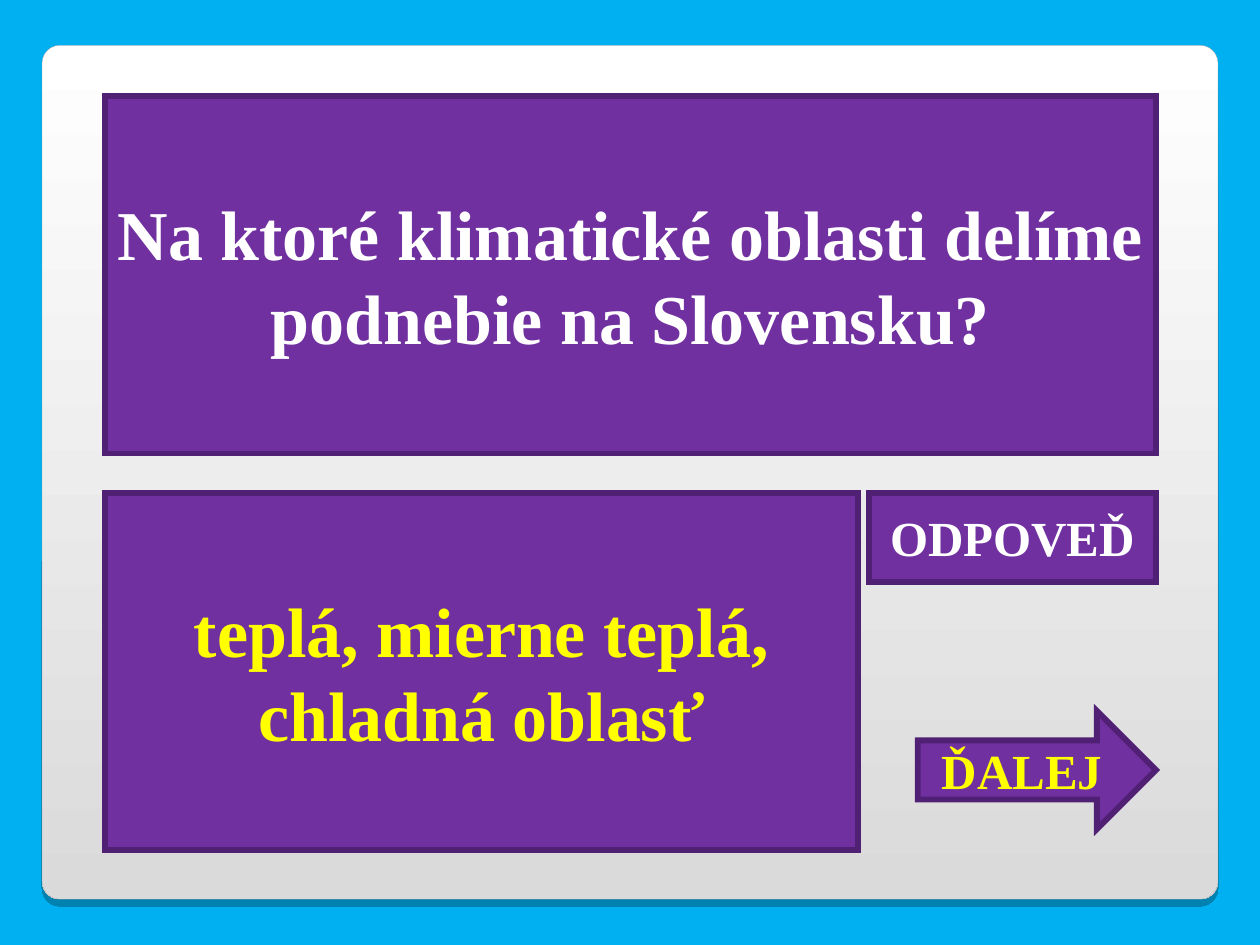
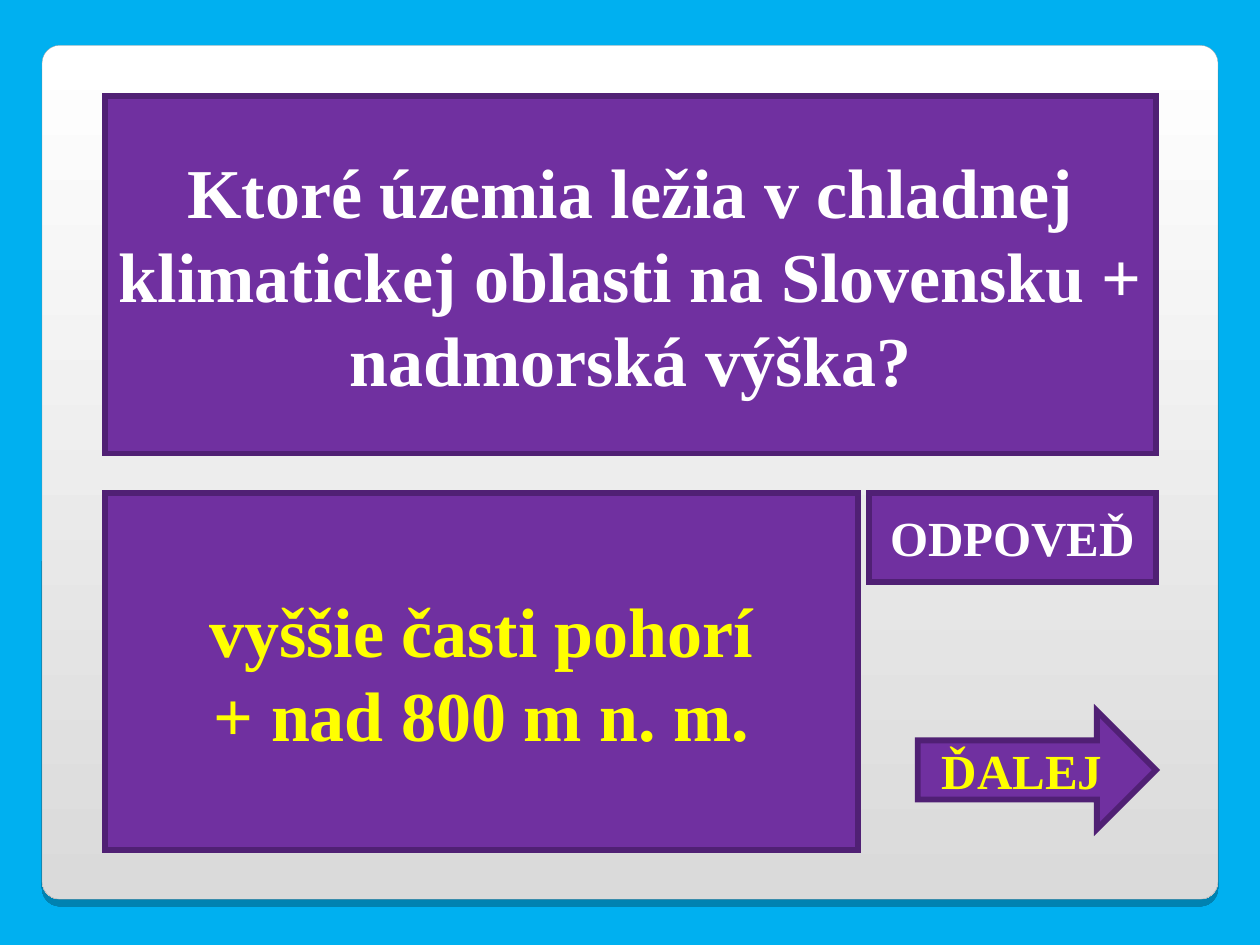
"""Build two quiz slides about the climate regions of Slovakia."""
from lxml.etree import SubElement
from pptx import Presentation
from pptx.dml.color import RGBColor
from pptx.enum.shapes import MSO_SHAPE
from pptx.enum.text import MSO_ANCHOR, MSO_AUTO_SIZE, PP_ALIGN
from pptx.oxml import parse_xml
from pptx.oxml.ns import nsdecls, qn
from pptx.util import Pt

COLORS = {
    "background": "00B0F0",
    "panel_top": "FFFFFF",
    "panel_bottom": "DADADA",
    "panel_line": "A4A3A3",
    "shadow": "000000",
    "box": "7030A0",
    "box_line": "502074",
    "question": "FFFFFF",
    "answer": "FFFF00",
}
FONT = "Times New Roman"
LEFT, RIGHT = 59.8, 660.6
ANSWER_TOP = 281.5
BOX_HEIGHT = 204.5
QUIZ = [
    (
        "Na ktoré klimatické oblasti delíme podnebie na Slovensku?",
        ["teplá, mierne teplá, chladná oblasť"],
    ),
    (
        "Ktoré územia ležia v chladnej klimatickej oblasti na Slovensku + nadmorská výška?",
        ["vyššie časti pohorí", "+ nad 800 m n. m."],
    ),
]
CONTROLS = [
    (MSO_SHAPE.RECTANGLE, 496.4, ANSWER_TOP, 51, "ODPOVEĎ", "question"),
    (MSO_SHAPE.RIGHT_ARROW, 524.4, 406.2, 67.6, "ĎALEJ", "answer"),
]


def color(name):
    """Return a named colour."""
    return RGBColor.from_string(COLORS[name])


def format_box(shape, lines, size, text_color):
    """Give a shape the purple style and its text."""
    shape.fill.solid()
    shape.fill.fore_color.rgb = color("box")
    shape.line.color.rgb = color("box_line")
    shape.line.width = Pt(3.34)
    SubElement(shape.element.spPr.get_or_add_ln(), qn("a:miter"), lim="800000")
    shape.shadow.inherit = False
    frame = shape.text_frame
    frame.word_wrap = True
    frame.auto_size = MSO_AUTO_SIZE.NONE
    frame.vertical_anchor = MSO_ANCHOR.MIDDLE
    for index, line in enumerate(lines):
        paragraph = frame.add_paragraph() if index else frame.paragraphs[0]
        paragraph.alignment = PP_ALIGN.CENTER
        run = paragraph.add_run()
        run.text = line
        run.font.name = FONT
        run.font.size = Pt(size)
        run.font.bold = True
        run.font.color.rgb = color(text_color)


presentation = Presentation()
presentation.slide_width = Pt(720)
presentation.slide_height = Pt(540)
background = presentation.slide_master.background.fill
background.solid()
background.fore_color.rgb = color("background")
layout = presentation.slide_layouts[5]

for number, (question, answer) in enumerate(QUIZ):
    slide = presentation.slides.add_slide(layout)

    if number == 0:
        panel = slide.shapes.add_shape(
            MSO_SHAPE.ROUNDED_RECTANGLE, Pt(24), Pt(25.9), Pt(672), Pt(488)
        )
        panel.adjustments[0] = 0.021
        panel.fill.gradient()
        panel.fill.gradient_angle = 270
        for stop, name in zip(panel.fill.gradient_stops, ("panel_top", "panel_bottom")):
            stop.color.rgb = color(name)
        panel.line.color.rgb = color("panel_line")
        panel.line.width = Pt(0.17)
        panel.shadow.inherit = False
        panel.element.spPr.find(qn("a:effectLst")).append(parse_xml(
            f'<a:outerShdw {nsdecls("a")} blurRad="0" dist="{Pt(4)}" dir="5400000">'
            f'<a:srgbClr val="{COLORS["shadow"]}"><a:alpha val="25000"/></a:srgbClr>'
            "</a:outerShdw>"
        ))
        layout.shapes.element.insert(2, panel.element)

    title = slide.shapes.title
    title.left, title.top = Pt(LEFT), Pt(54.7)
    title.width, title.height = Pt(RIGHT - LEFT), Pt(BOX_HEIGHT)
    format_box(title, [question], 40, "question")

    answer_box = slide.shapes.add_shape(
        MSO_SHAPE.RECTANGLE, Pt(LEFT), Pt(ANSWER_TOP), Pt(430.5), Pt(BOX_HEIGHT)
    )
    format_box(answer_box, answer, 40, "answer")

    for kind, left, top, height, label, text_color in CONTROLS:
        control = slide.shapes.add_shape(
            kind, Pt(left), Pt(top), Pt(RIGHT - left), Pt(height)
        )
        format_box(control, [label], 28, text_color)

presentation.save("out.pptx")
